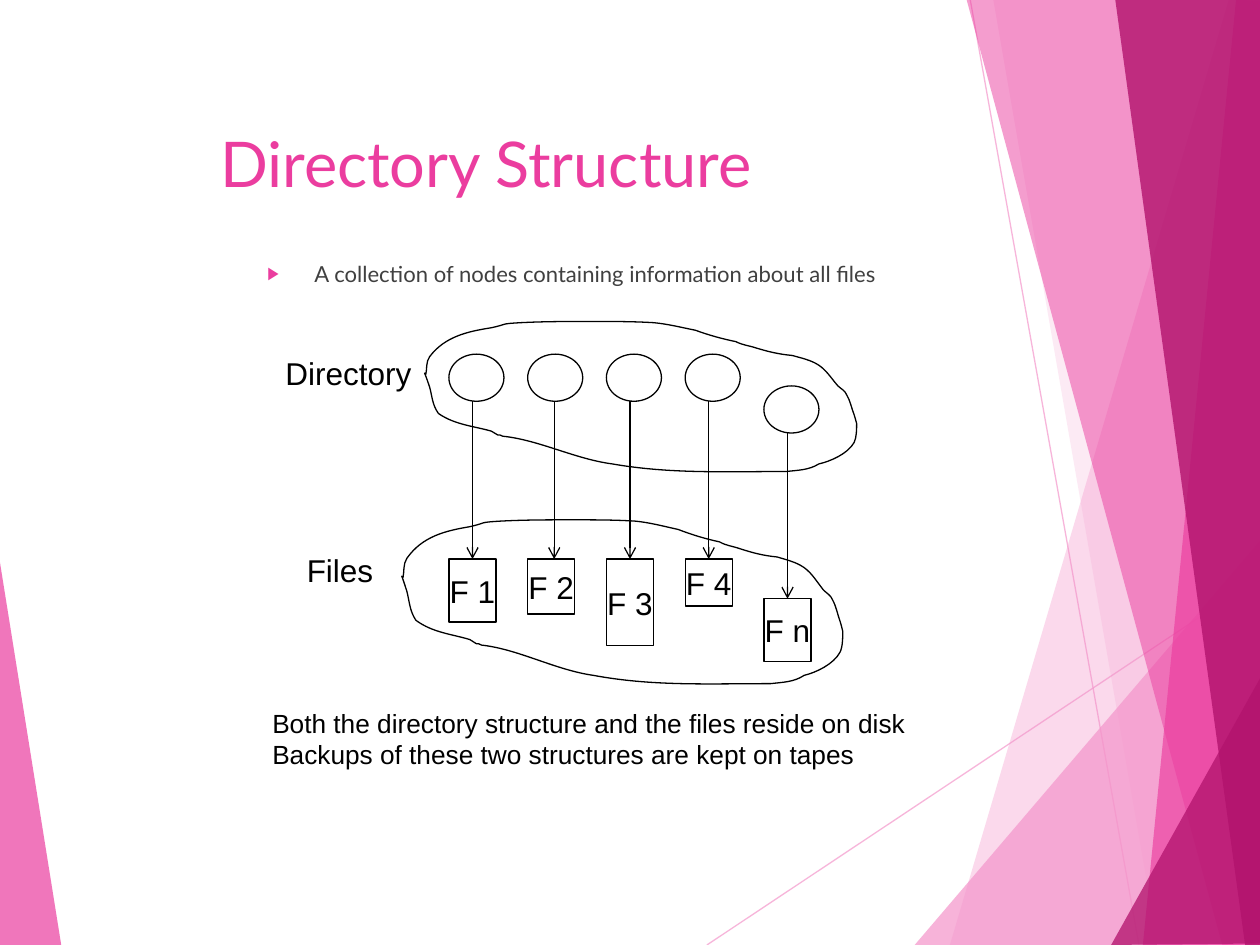
from dataclasses import dataclass

from lxml.etree import SubElement
from pptx import Presentation
from pptx.dml.color import RGBColor as RGB
from pptx.enum.shapes import MSO_CONNECTOR as LINK, MSO_SHAPE as SHAPE
from pptx.enum.text import MSO_ANCHOR as ANCHOR, PP_ALIGN as ALIGN
from pptx.oxml.ns import qn
from pptx.shapes.connector import Connector
from pptx.util import Cm, Pt


@dataclass(frozen=True)
class Theme:
    black: RGB = RGB(0, 0, 0)
    white: RGB = RGB(255, 255, 255)
    gray: RGB = RGB(0x40, 0x40, 0x40)
    light_pink: RGB = RGB(0xF4, 0x96, 0xCB)
    pink: RGB = RGB(0xEB, 0x3D, 0x9F)
    plum: RGB = RGB(0xB2, 0x13, 0x6D)
    heading_font: str = "Lato"
    label_font: str = "Arial"
    title_size: float = 36
    label_size: float = 18
    note_size: float = 15
    body_size: float = 12.6
    line_width: float = 0.75


theme = Theme()
deck = Presentation()
deck.slide_width, deck.slide_height = Cm(25.4), Cm(19.05)
slide = deck.slides.add_slide(deck.slide_layouts[6])
shapes = slide.shapes


def outline(points):
    start, *rest = [(Cm(x), Cm(y)) for x, y in points]
    builder = shapes.build_freeform(*start, scale=1.0)
    builder.add_line_segments(rest, close=True)
    return builder.convert_to_shape()


def write(paragraph, text, font, size, color, align=ALIGN.LEFT):
    paragraph.alignment = align
    run = paragraph.add_run()
    run.text = text
    run.font.name, run.font.size = font, Pt(size)
    run.font.color.rgb = color


for ends in [(14.25, 19.05, 25.43, 11.61), (19.56, 0, 22.96, 19.05)]:
    ray = shapes.add_connector(LINK.STRAIGHT, *map(Cm, ends))
    ray.line.color.rgb = theme.light_pink
    SubElement(next(ray.element.iter(qn("a:srgbClr"))), qn("a:alpha"), val="70000")

facets = [
    (theme.light_pink, 36, [(24.77, 0), (19.15, 19.05), (25.45, 19.08), (25.43, 0.03)]),
    (theme.light_pink, 20, [(20.02, -0.03), (23.34, 19.05), (25.43, 19.05), (25.43, -0.03)]),
    (theme.light_pink, 72, [(18.44, 19.05), (25.4, 10.9), (25.43, 19.05)]),
    (theme.pink, 50, [(19.48, -0.03), (24.64, 19.05), (25.43, 19.02), (25.43, -0.03)]),
    (theme.pink, 66, [(24.92, -0.03), (23.04, 19.05), (25.43, 19.05), (25.4, -0.03)]),
    (theme.plum, 80, [(22.48, -0.03), (25.1, 19.05), (25.45, 19.05), (25.4, -0.03)]),
    (theme.plum, 76, [(22.4, 19.05), (25.45, 13.59), (25.45, 19.02)]),
    (theme.pink, 70, [(-0.03, 11.15), (1.24, 19.08), (-0.03, 19.05)]),
]
for color, opacity, corners in facets:
    facet = outline(corners)
    facet.fill.solid()
    facet.fill.fore_color.rgb = color
    facet.line.fill.background()
    SubElement(next(facet.element.iter(qn("a:srgbClr"))), qn("a:alpha"), val=str(opacity * 1000))

title = shapes.add_textbox(Cm(4.19), Cm(2.39), Cm(15.54), Cm(2.39)).text_frame
title.word_wrap = True
write(title.paragraphs[0], "Directory Structure", theme.heading_font, theme.title_size, theme.pink)

summary = shapes.add_textbox(Cm(5.14), Cm(5.28), Cm(13.72), Cm(0.74)).text_frame
summary.word_wrap = True
bullet = summary.paragraphs[0]
props = bullet._p.get_or_add_pPr()
props.set("marL", str(Cm(0.95)))
props.set("indent", str(Cm(-0.95)))
SubElement(SubElement(props, qn("a:buClr")), qn("a:srgbClr"), val=str(theme.pink))
SubElement(props, qn("a:buSzPct"), val="80000")
SubElement(props, qn("a:buFont"), typeface=theme.label_font)
SubElement(props, qn("a:buChar"), char="▶")
bullet.line_spacing = 0.7
write(bullet, "A collection of nodes containing information about all files",
      theme.heading_font, theme.body_size, theme.gray)

files = [
    ("F 1", 7.14, 11.27, 1.27, 0),
    ("F 2", 7.14, 11.27, 1.11, 0.06),
    ("F 3", 7.14, 11.27, 1.75, 0),
    ("F 4", 7.14, 11.27, 0.95, 0),
    ("F n", 7.78, 12.07, 1.27, 0),
]
row_span = 6.35
for column, (name, node_top, file_top, file_height, arrow_shift) in enumerate(files):
    left = Cm(9.05 + row_span * column / (len(files) - 1))
    node = shapes.add_shape(SHAPE.OVAL, left, Cm(node_top), Cm(1.11), Cm(0.95))
    file = shapes.add_shape(SHAPE.RECTANGLE, left, Cm(file_top), Cm(0.95), Cm(file_height))
    for part in (node, file):
        part.fill.solid()
        part.fill.fore_color.rgb = theme.white
        part.line.color.rgb = theme.black
        part.line.width = Pt(theme.line_width)
    file.text_frame.word_wrap = False
    file.text_frame.vertical_anchor = ANCHOR.MIDDLE
    write(file.text_frame.paragraphs[0], name, theme.label_font, theme.label_size,
          theme.black, ALIGN.CENTER)

    arrow_x = left + file.width // 2 + Cm(arrow_shift)
    arrow = shapes.add_connector(LINK.STRAIGHT, arrow_x, node.top + node.height, arrow_x, file.top)
    arrow.line.color.rgb = theme.black
    SubElement(arrow.line._get_or_add_ln(), qn("a:tailEnd"), type="arrow")
    if not arrow_shift:
        arrow.end_connect(file, 0)

cloud_grid = (343, 120)
cloud_start = (1, 42)
cloud_curves = [
    ((2, 38), (1, 32), (4, 28)), ((16, 12), (34, 8), (53, 5)),
    ((67, 2), (59, 2), (76, 1)), ((95, 0), (114, 0), (133, 0)),
    ((149, 0), (166, 0), (182, 1)), ((193, 2), (205, 5), (215, 7)),
    ((226, 11), (237, 14), (247, 16)), ((253, 19), (257, 19), (263, 21)),
    ((273, 24), (281, 26), (292, 27)), ((299, 29), (304, 30), (310, 33)),
    ((318, 37), (322, 44), (328, 51)), ((330, 53), (334, 55), (335, 58)),
    ((338, 63), (339, 69), (341, 74)), ((342, 77), (343, 81), (343, 81)),
    ((343, 85), (343, 92), (341, 96)), ((336, 105), (322, 111), (313, 113)),
    ((305, 118), (296, 118), (287, 119)), ((238, 119), (195, 121), (149, 113)),
    ((119, 109), (91, 94), (62, 91)), ((61, 90), (59, 90), (58, 90)),
    ((56, 89), (55, 88), (53, 87)), ((39, 83), (24, 82), (11, 73)),
    ((6, 66), (6, 59), (4, 52)), ((4, 52), (1, 43), (0, 41)),
    ((0, 41), (1, 42), (1, 42)),
]
for left, top, width, height in [(8.56, 6.48, 8.71, 3.05), (8.1, 10.48, 8.89, 3.33)]:
    start, *curves = [
        [(left + width * x / cloud_grid[0], top + height * y / cloud_grid[1]) for x, y in points]
        for points in ([cloud_start], *cloud_curves)]
    cloud = outline([start[0], *(curve[-1] for curve in curves)])
    cloud.fill.background()
    cloud.line.color.rgb = theme.black
    cloud.line.width = Pt(theme.line_width)
    for segment, curve in zip(list(cloud.element.iter(qn("a:lnTo"))), curves):
        segment.tag = qn("a:cubicBezTo")
        segment.remove(segment[0])
        for x, y in curve:
            SubElement(segment, qn("a:pt"), x=str(Cm(x) - cloud.left), y=str(Cm(y) - cloud.top))

for name, left, top, width in [("Directory", 5.49, 7.01, 3.07), ("Files", 5.93, 10.97, 1.85)]:
    label = shapes.add_textbox(Cm(left), Cm(top), Cm(width), Cm(1.02)).text_frame
    label.word_wrap = False
    label.vertical_anchor = ANCHOR.MIDDLE
    write(label.paragraphs[0], name, theme.label_font, theme.label_size, theme.black, ALIGN.CENTER)

storage = shapes.add_textbox(Cm(5.24), Cm(14.13), Cm(14.66), Cm(0.79)).text_frame
storage.word_wrap = True
write(storage.paragraphs[0], "Both the directory structure and the files reside on disk",
      theme.label_font, theme.note_size, theme.black)
write(storage.add_paragraph(), "Backups of these two structures are kept on tapes",
      theme.label_font, theme.note_size, theme.black)

for shape in shapes:
    if isinstance(shape, Connector):
        shape.line.width = Pt(theme.line_width)
        SubElement(shape.element.spPr, qn("a:effectLst"))
    else:
        shape.shadow.inherit = False

deck.save("out.pptx")
